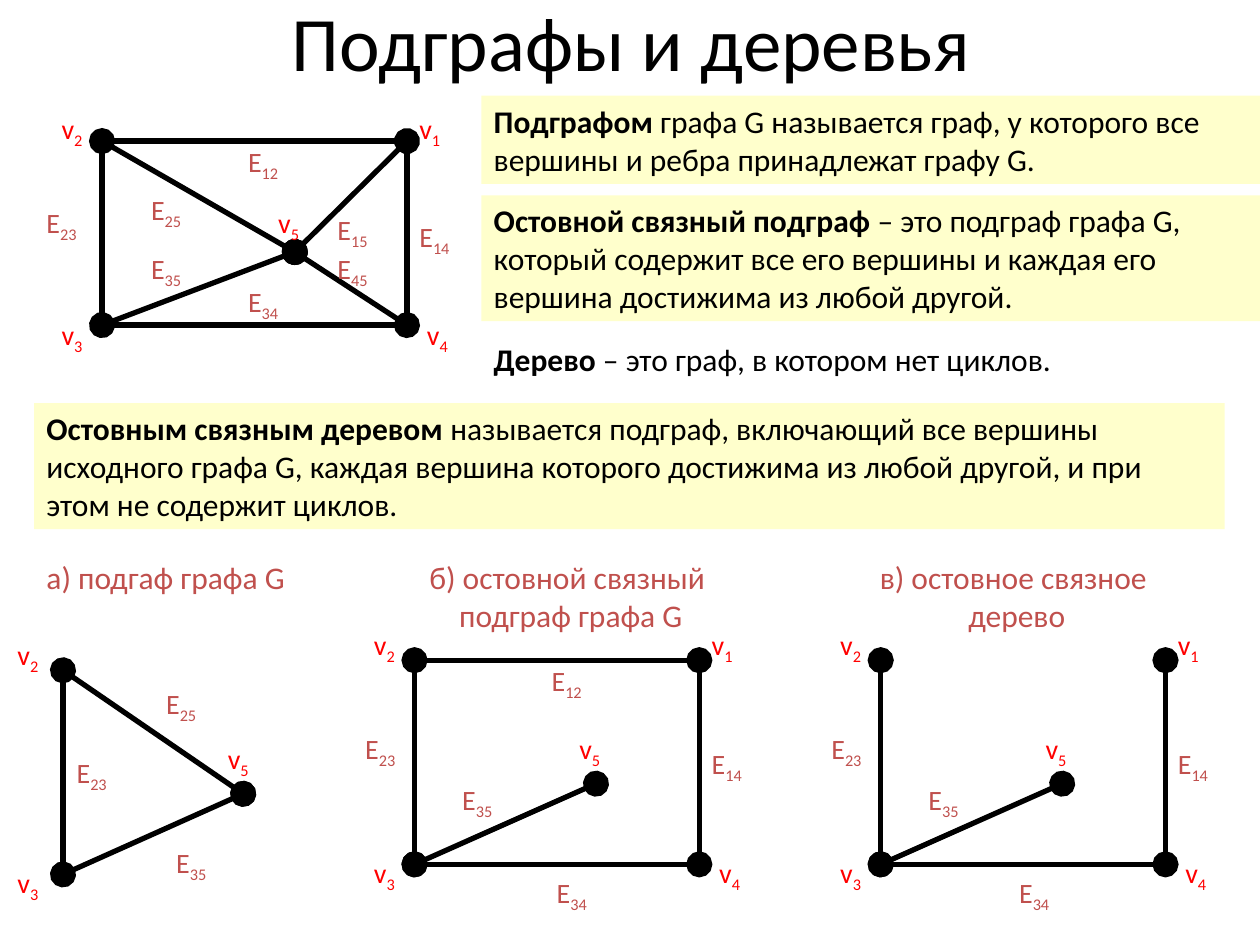
from itertools import chain

from lxml import etree
from pptx import Presentation
from pptx import util as u
from pptx.dml.color import RGBColor
from pptx.enum import shapes, text
from pptx.oxml.ns import qn

BLACK = RGBColor(0x00, 0x00, 0x00)
RED = RGBColor(0xFF, 0x00, 0x00)
BRICK = RGBColor(0xC0, 0x50, 0x4D)
CREAM = RGBColor(0xFF, 0xFF, 0xCC)
WHITE = RGBColor(0xFF, 0xFF, 0xFF)

# The page is a grid of 100 columns by 75 rows
WIDTH, HEIGHT = u.Inches(10), u.Inches(7.5)
COL, ROW = WIDTH / 100, HEIGHT / 75

# Each vertex: column, row, label column, label row (from the graph's corner)
# Each edge: label column, label row, whether its ends are dots
FULL_VERTICES = {
    "1": (24.2, 0, 24.2, -2.8),
    "2": (0, 0, -4.2, -2.8),
    "3": (0, 14.6, -4.2, 13.5),
    "4": (24.2, 14.6, 24.8, 13.5),
    "5": (15.3, 8.8, 13, 4.6),
}
FULL_EDGES = {
    "23": (-5.4, 4.6, False),
    "14": (24.2, 5.7, False),
    "45": (17.7, 8.3, True),
    "15": (17.7, 5.2, True),
    "12": (10.6, -0.2, False),
    "34": (10.6, 10.9, False),
    "35": (2.9, 8.3, True),
    "25": (2.9, 3.6, True),
}
PART_VERTICES = {
    "2": (0, 0, -4.6, -3.1),
    "3": (0, 16.2, -4.6, 15),
    "5": (14.3, 9.8, 12.1, 5.2),
}
PART_EDGES = {
    "23": (0.1, 6.3, False),
    "35": (8, 13.4, True),
    "25": (7.2, 0.8, True),
}
SPAN_VERTICES = {
    "1": (22.6, 0, 22.6, -3.1),
    "2": (0, 0, -4.2, -3.1),
    "3": (0, 16.2, -4.2, 15),
    "4": (22.6, 16.2, 23.2, 15),
    "5": (14.4, 9.8, 12.1, 5.2),
}
SPAN_EDGES = {
    "23": (-4.9, 5.2, False),
    "14": (22.6, 6.4, False),
    "12": (9.9, -0.2, True),
    "34": (10.3, 16.6, True),
    "35": (2.8, 9.2, True),
}
TREE_EDGES = {
    "23": (-4.9, 5.2, True),
    "14": (22.6, 6.4, True),
    "34": (10, 16.6, False),
    "35": (2.8, 9.2, True),
}

DEFINITIONS = [
    ((38.2, 7.6, 61.8, 7), CREAM, "Подграфом",
     " графа G называется граф, у которого все вершины и ребра принадлежат графу G."),
    ((38.2, 15.5, 61.8, 10), CREAM, "Остовной связный подграф ",
     "– это подграф графа G, который содержит все его вершины и каждая его "
     "вершина достижима из любой другой."),
    ((38.2, 26.5, 61.8, 4), WHITE, "Дерево", " – это граф, в котором нет циклов."),
    ((2.7, 32, 94.5, 10), CREAM, "Остовным связным деревом ",
     "называется подграф, включающий все вершины исходного графа G, каждая вершина "
     "которого достижима из любой другой, и при этом не содержит циклов."),
]
CAPTIONS = [
    ((2.7, 43.8, 25.2, 4), text.PP_ALIGN.LEFT, ["а) подгаф графа G"]),
    ((31.9, 43.8, 26.8, 7), text.PP_ALIGN.CENTER,
     ["б) остовной связный ", "подграф графа G"]),
    ((67.3, 43.8, 26.8, 7), text.PP_ALIGN.CENTER,
     ["в) остовное связное ", "дерево"]),
]


def to_page(left, top, *size):
    """Turn grid columns and rows into lengths on the page."""
    steps = (COL, ROW, COL, ROW)
    return [u.Emu(round(n * step)) for n, step in zip((left, top, *size), steps)]


def add_span(para, words, size, color, **formats):
    span = para.add_run()
    span.text = words
    formats = {"name": "Calibri", "size": u.Pt(size), **formats}
    for key, value in formats.items():
        setattr(span.font, key, value)
    span.font.color.rgb = color
    return span


def set_frame(shape, **formats):
    frame = shape.text_frame
    formats = {"word_wrap": True, "vertical_anchor": text.MSO_ANCHOR.TOP,
               "auto_size": text.MSO_AUTO_SIZE.SHAPE_TO_FIT_TEXT, **formats}
    for key, value in formats.items():
        setattr(frame, key, value)
    return frame


def draw_edge(parts, start, end, dotted):
    edge = parts.add_connector(shapes.MSO_CONNECTOR.STRAIGHT,
                               *to_page(*start), *to_page(*end))
    edge.line.color.rgb = BLACK
    edge.line.width = u.Pt(3)
    if dotted:
        line = edge.line._get_or_add_ln()
        for tag in ("a:headEnd", "a:tailEnd"):
            etree.SubElement(line, qn(tag), type="oval", w="lg", len="lg")
    etree.SubElement(edge._element.spPr, qn("a:effectLst"))


def draw_graph(parts, corner, vertices, edges, label_widths):
    left, top = corner
    vertex_width, edge_width = label_widths
    for (first, second), (*_, dotted) in edges.items():
        start, end = [(left + vertices[n][0], top + vertices[n][1])
                      for n in (first, second)]
        draw_edge(parts, start, end, dotted)

    # Labels with lowered numbers
    vertex_labels = (("v", n, x, y, vertex_width, RED)
                     for n, (_, _, x, y) in vertices.items())
    edge_labels = (("E", n, x, y, edge_width, BRICK)
                   for n, (x, y, _) in edges.items())
    for letter, number, x, y, width, color in chain(vertex_labels, edge_labels):
        label = parts.add_textbox(*to_page(left + x, top + y, width, 3.7))
        para = set_frame(label).paragraphs[0]
        add_span(para, letter, 16, color)
        lowered = add_span(para, number, 16, color)
        lowered.font._element.set("baseline", "-25000")


def draw_title(page, box):
    title = page.shapes.add_textbox(*to_page(*box))
    frame = set_frame(title, vertical_anchor=text.MSO_ANCHOR.MIDDLE,
                      auto_size=text.MSO_AUTO_SIZE.NONE)
    para = frame.paragraphs[0]
    para.alignment = text.PP_ALIGN.CENTER
    add_span(para, "Подграфы и деревья", 44, BLACK)


def draw_definition(page, box, fill, term, meaning):
    panel = page.shapes.add_shape(shapes.MSO_SHAPE.RECTANGLE, *to_page(*box))
    panel.shadow.inherit = False
    panel.fill.solid()
    panel.fill.fore_color.rgb = fill
    panel.line.fill.background()
    para = set_frame(panel).paragraphs[0]
    para.alignment = text.PP_ALIGN.LEFT
    add_span(para, term, 18, BLACK, bold=True)
    add_span(para, meaning, 18, BLACK, bold=False)


def draw_caption(page, box, alignment, lines):
    frame = set_frame(page.shapes.add_textbox(*to_page(*box)))
    for index, words in enumerate(lines):
        para = frame.add_paragraph() if index else frame.paragraphs[0]
        para.alignment = alignment
        add_span(para, words, 18, BRICK)


def main():
    deck = Presentation()
    deck.slide_width, deck.slide_height = WIDTH, HEIGHT
    page = deck.slides.add_slide(deck.slide_layouts[6])

    # Whole graph G, kept together as one group
    group = page.shapes.add_group_shape()
    draw_graph(group.shapes, (8.1, 11.2), FULL_VERTICES, FULL_EDGES, (4.7, 5.9))

    # Definitions
    for definition in DEFINITIONS:
        draw_definition(page, *definition)

    # Three examples with captions
    for corner, vertices, edges in (
        ((5, 53.2), PART_VERTICES, PART_EDGES),
        ((32.9, 52.4), SPAN_VERTICES, SPAN_EDGES),
        ((69.9, 52.4), SPAN_VERTICES, TREE_EDGES),
    ):
        draw_graph(page.shapes, corner, vertices, edges, (4.4, 5.5))
    for caption in CAPTIONS:
        draw_caption(page, *caption)

    draw_title(page, (5.1, 1.3, 90, 3.9))
    deck.save("out.pptx")


if __name__ == "__main__":
    main()
